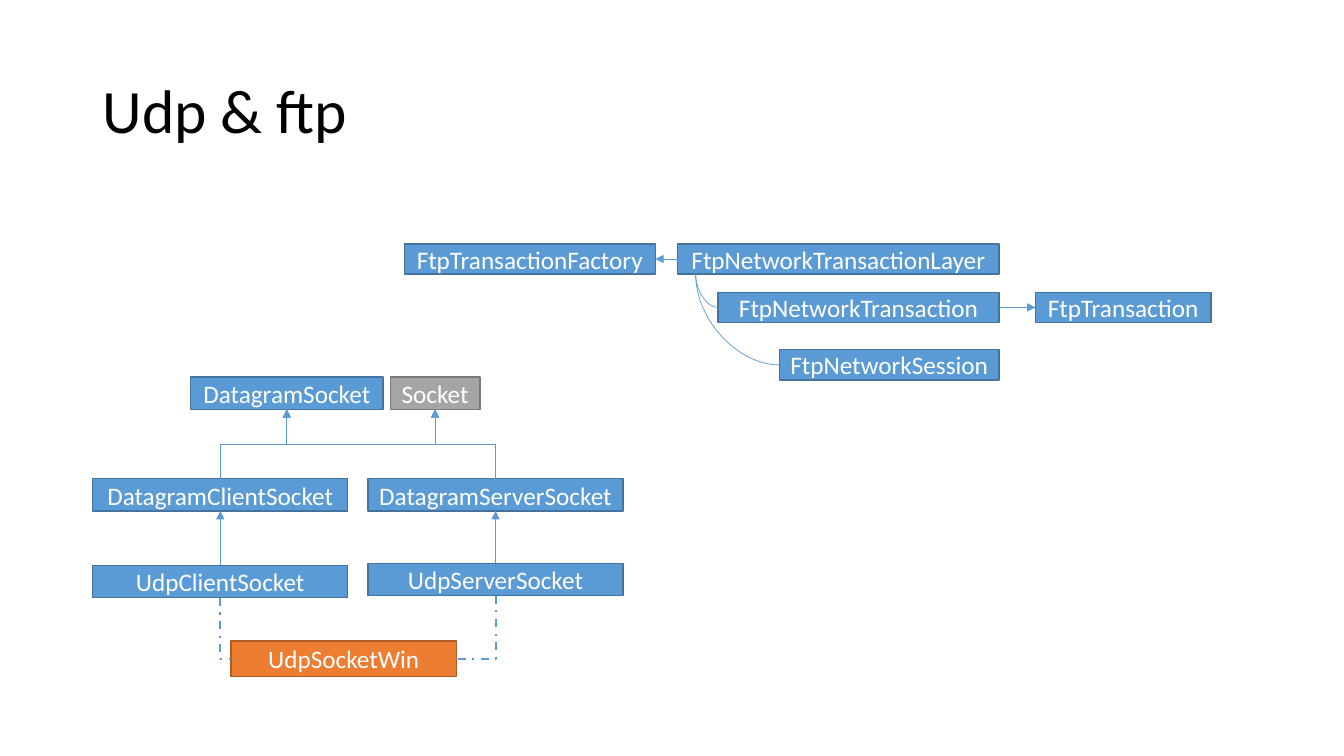
from lxml import etree
from pptx import Presentation
from pptx import util as u
from pptx.dml.color import RGBColor
from pptx.enum import dml, shapes, text
from pptx.oxml.ns import qn

COLORS = {
    "black": "000000", "white": "FFFFFF",
    "blue": "5B9BD5", "blue_edge": "43739E",
    "gray": "A5A5A5", "gray_edge": "7A7A7A",
    "orange": "ED7D31", "orange_edge": "AF5C24",
}
TOP, LEFT, BOTTOM, RIGHT = range(4)


class ClassDiagram:
    font = "Calibri"

    def __init__(self, slide):
        self.slide = slide

    def color(self, name):
        return RGBColor.from_string(COLORS[name])

    def add_words(self, paragraph, words, size, color):
        run = paragraph.add_run()
        run.text = words
        run.font.name = self.font
        run.font.size = u.Pt(size)
        run.font.color.rgb = self.color(color)

    def title(self, words, left, top, width, height):
        shape = self.slide.shapes.title
        shape.left, shape.top = u.Inches(left), u.Inches(top)
        shape.width, shape.height = u.Inches(width), u.Inches(height)
        frame = shape.text_frame
        frame.vertical_anchor = text.MSO_ANCHOR.MIDDLE
        frame.auto_size = text.MSO_AUTO_SIZE.NONE
        paragraph = frame.paragraphs[0]
        paragraph.alignment = text.PP_ALIGN.LEFT
        paragraph.line_spacing = 0.9
        self.add_words(paragraph, words, 44, "black")

    def box(self, words, left, top, width, height, color="blue"):
        shape = self.slide.shapes.add_shape(
            shapes.MSO_SHAPE.RECTANGLE,
            u.Inches(left), u.Inches(top), u.Inches(width), u.Inches(height))
        shape.shadow.inherit = False
        shape.fill.solid()
        shape.fill.fore_color.rgb = self.color(color)
        shape.line.color.rgb = self.color(color + "_edge")
        shape.line.width = u.Pt(1)
        frame = shape.text_frame
        frame.word_wrap = False
        frame.vertical_anchor = text.MSO_ANCHOR.MIDDLE
        paragraph = frame.paragraphs[0]
        paragraph.alignment = text.PP_ALIGN.CENTER
        self.add_words(paragraph, words, 18, "white")
        return shape

    def site(self, shape, side):
        x = {LEFT: 0, RIGHT: shape.width}.get(side, shape.width // 2)
        y = {TOP: 0, BOTTOM: shape.height}.get(side, shape.height // 2)
        return shape.left + x, shape.top + y

    def style(self, connector, arrow, width=0.5, dash=None):
        connector.line.color.rgb = self.color("blue")
        connector.line.width = u.Pt(width)
        if dash:
            connector.line.dash_style = dash
        properties = connector._element.spPr
        if arrow:
            line = properties.find(qn("a:ln"))
            etree.SubElement(line, qn("a:tailEnd"), type="triangle")
        etree.SubElement(properties, qn("a:effectLst"))

    def arrow(self, source, source_side, target, target_side):
        connector = self.slide.shapes.add_connector(
            shapes.MSO_CONNECTOR.STRAIGHT, 0, 0, 0, 0)
        connector.begin_connect(source, source_side)
        connector.end_connect(target, target_side)
        self.style(connector, True)

    def turn(self, preset, start, end, arrow=False, **line):
        dx, dy = end[0] - start[0], end[1] - start[1]
        width, height = abs(dy), abs(dx)
        left = (start[0] + end[0] - width) // 2
        top = (start[1] + end[1] - height) // 2
        connector = self.slide.shapes.add_connector(
            shapes.MSO_CONNECTOR.ELBOW, left, top, left + width, top + height)
        properties = connector._element.spPr
        properties.find(qn("a:prstGeom")).set("prst", preset)
        frame = properties.find(qn("a:xfrm"))
        frame.set("rot", str((90 if dy > 0 else 270) * 60000))
        if (dx > 0) == (dy > 0):
            frame.set("flipV", "1")
        self.style(connector, arrow, **line)


def main():
    presentation = Presentation()
    presentation.slide_width = u.Inches(13.33)
    presentation.slide_height = u.Inches(7.5)
    slide = presentation.slides.add_slide(presentation.slide_layouts[5])
    diagram = ClassDiagram(slide)
    diagram.title("Udp & ftp", 0.92, 0.4, 11.5, 1.45)

    socket = diagram.box("Socket", 3.87, 3.74, 0.89, 0.32, "gray")
    datagram = diagram.box("DatagramSocket", 1.89, 3.74, 1.91, 0.32)
    client = diagram.box("DatagramClientSocket", 0.92, 4.75, 2.53, 0.32)
    server = diagram.box("DatagramServerSocket", 3.65, 4.75, 2.53, 0.32)
    udp_client = diagram.box("UdpClientSocket", 0.92, 5.61, 2.53, 0.32)
    udp_server = diagram.box("UdpServerSocket", 3.65, 5.59, 2.53, 0.32)
    udp_win = diagram.box("UdpSocketWin", 2.29, 6.36, 2.24, 0.35, "orange")

    for base in (datagram, socket):
        for child in (client, server):
            diagram.turn("bentConnector3", diagram.site(child, TOP),
                         diagram.site(base, BOTTOM), arrow=True)
    for child, base, side in ((udp_client, client, LEFT),
                              (udp_server, server, RIGHT)):
        diagram.arrow(child, TOP, base, BOTTOM)
        diagram.turn("bentConnector2", diagram.site(child, BOTTOM),
                     diagram.site(udp_win, side), width=1.5,
                     dash=dml.MSO_LINE.DASH_DOT)

    factory = diagram.box("FtpTransactionFactory", 4.01, 2.42, 2.49, 0.3)
    transaction = diagram.box("FtpTransaction", 10.27, 2.9, 1.74, 0.3)
    layer = diagram.box("FtpNetworkTransactionLayer", 6.72, 2.42, 3.19, 0.3)
    network = diagram.box("FtpNetworkTransaction", 7.12, 2.9, 2.79, 0.3)
    session = diagram.box("FtpNetworkSession", 7.73, 3.47, 2.18, 0.3)
    diagram.arrow(layer, LEFT, factory, RIGHT)
    diagram.arrow(network, RIGHT, transaction, LEFT)
    branch = (u.Inches(6.9), layer.top + layer.height)
    for part in (network, session):
        diagram.turn("curvedConnector2", branch, diagram.site(part, LEFT))

    presentation.save("out.pptx")


if __name__ == "__main__":
    main()
